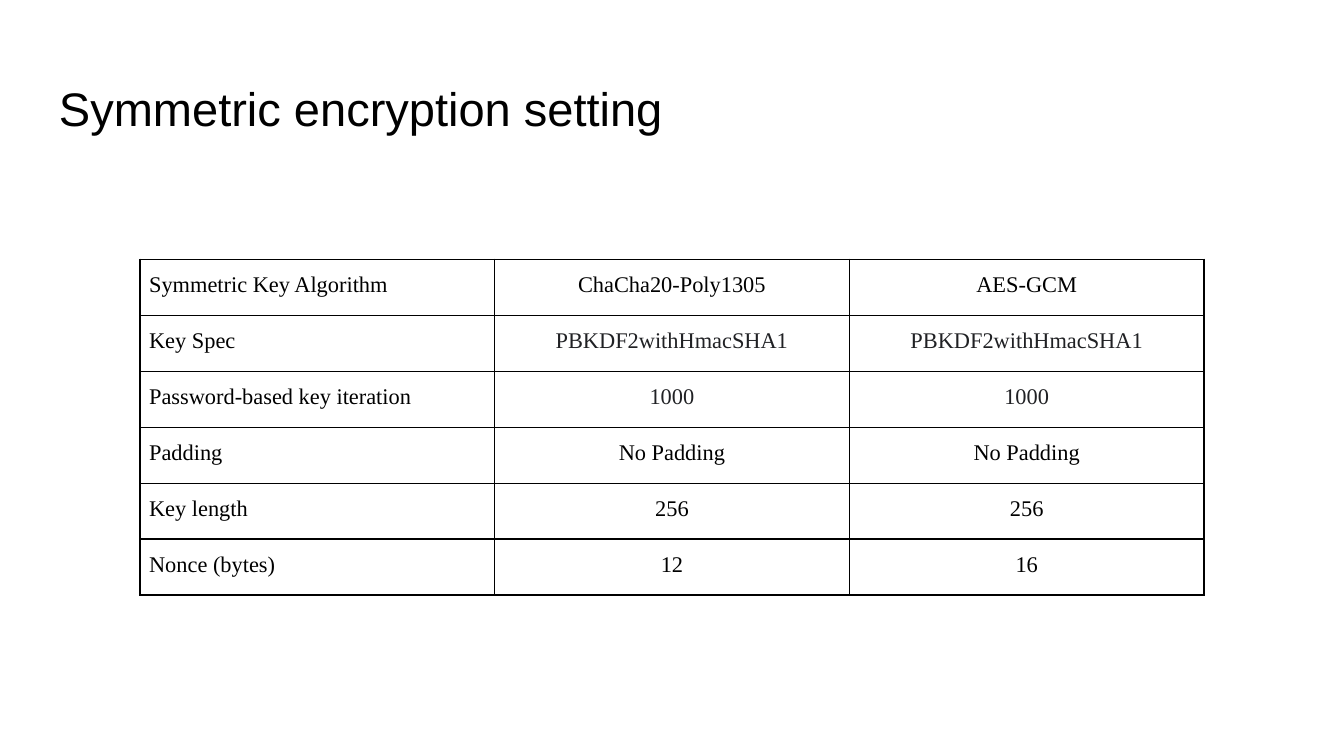
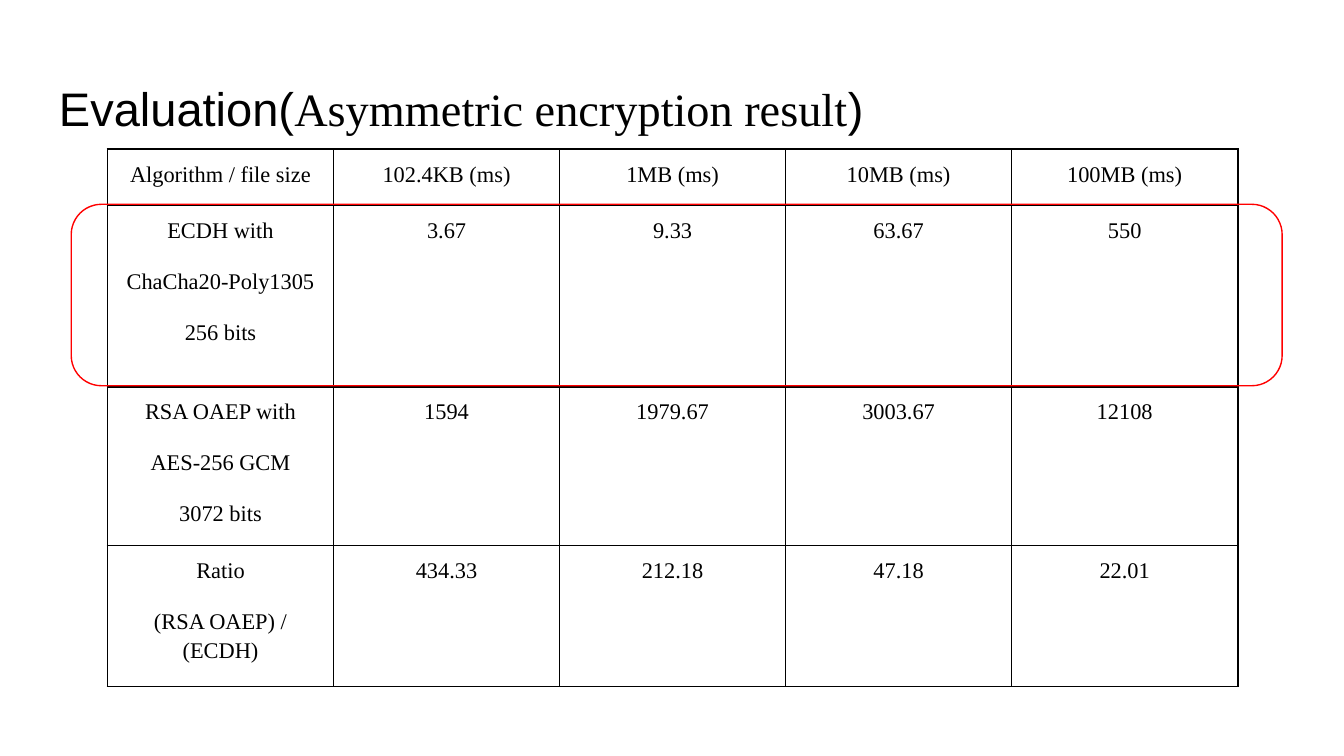
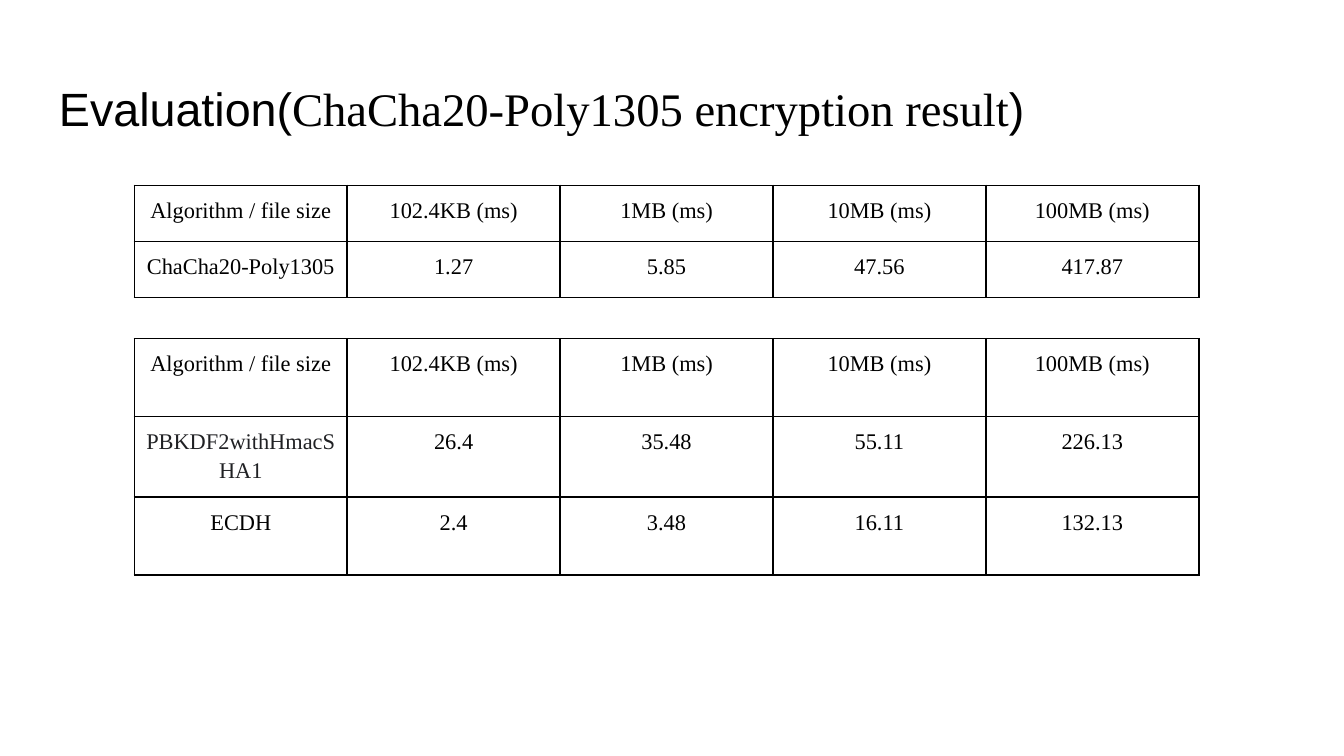
from lxml.etree import SubElement
from pptx import Presentation
from pptx.dml.color import RGBColor
from pptx.enum.shapes import MSO_SHAPE
from pptx.enum.text import MSO_ANCHOR, PP_ALIGN
from pptx.oxml.ns import qn
from pptx.util import Inches, Pt

BLACK, GRAY, RED = "000000", "202124", "FF0000"
SANS, SERIF = "Arial", "Times New Roman"
CELL_INSET = Inches(5 / 72)
HEADER = ["Algorithm / file size", "102.4KB (ms)", "1MB (ms)", "10MB (ms)", "100MB (ms)"]
GRAY_VALUES = {"PBKDF2withHmacSHA1", "1000"}


def rgb(color):
    return RGBColor.from_string(color)


class Deck:
    """Holds the shared style and the current slide."""

    def __init__(self):
        self.prs = Presentation()
        # 16:9 page
        self.prs.slide_width, self.prs.slide_height = Inches(10), Inches(10 * 9 / 16)
        self.slide = None

    def new_slide(self):
        self.slide = self.prs.slides.add_slide(self.prs.slide_layouts[6])

    def run(self, p, text, size, font, color=BLACK):
        r = p.add_run()
        r.text = text
        r.font.size, r.font.name = Pt(size), font
        r.font.color.rgb = rgb(color)

    def title(self, *runs):
        box = self.slide.shapes.add_textbox(Inches(0.34), Inches(0.49), Inches(9.32), Inches(0.63))
        tf = box.text_frame
        tf.word_wrap = True
        tf.vertical_anchor = MSO_ANCHOR.MIDDLE
        tf.margin_left = tf.margin_right = tf.margin_top = tf.margin_bottom = Inches(0.1)
        for text, size, font in runs:
            self.run(tf.paragraphs[0], text, size, font)

    def borders(self, cell):
        tc_pr = cell._tc.get_or_add_tcPr()
        for side in ("a:lnL", "a:lnR", "a:lnT", "a:lnB"):
            ln = SubElement(tc_pr, qn(side), w=str(Pt(1)))
            SubElement(SubElement(ln, qn("a:solidFill")), qn("a:srgbClr"), val=BLACK)

    def cell(self, cell, text, align):
        cell.margin_left = cell.margin_right = CELL_INSET
        cell.margin_top = cell.margin_bottom = CELL_INSET
        self.borders(cell)
        cell.fill.background()
        tf = cell.text_frame
        for i, line in enumerate(text.split("\n")):
            p = tf.add_paragraph() if i else tf.paragraphs[0]
            p.alignment, p.line_spacing = align, 1.15
            if i:
                p.space_before = Pt(12)
            self.run(p, line, 12, SERIF, GRAY if line in GRAY_VALUES else BLACK)
        p.space_after = Pt(12)

    def table(self, left, top, width, heights, rows, first_align=PP_ALIGN.CENTER):
        n_cols = len(rows[0])
        frame = self.slide.shapes.add_table(len(rows), n_cols, Inches(left), Inches(top),
                                            Inches(width), Inches(sum(heights)))
        table = frame.table
        for col in table.columns:
            col.width = Inches(width / n_cols)
        for i, (height, row) in enumerate(zip(heights, rows)):
            table.rows[i].height = Inches(height)
            for j, text in enumerate(row):
                self.cell(table.cell(i, j), text, PP_ALIGN.CENTER if j else first_align)

    def highlight(self, left, top, width, height):
        sp = self.slide.shapes.add_shape(MSO_SHAPE.FLOWCHART_ALTERNATE_PROCESS, Inches(left),
                                         Inches(top), Inches(width), Inches(height))
        sp.shadow.inherit = False
        sp.fill.background()
        sp.line.color.rgb = rgb(RED)
        sp.line.width = Pt(0.75)


def main():
    deck = Deck()

    # Symmetric settings
    deck.new_slide()
    deck.title(("Symmetric encryption setting", 25.2, SANS))
    deck.table(1.04, 1.93, 7.92, [2.5 / 6] * 6, [
        ["Symmetric Key Algorithm", "ChaCha20-Poly1305", "AES-GCM"],
        ["Key Spec", "PBKDF2withHmacSHA1", "PBKDF2withHmacSHA1"],
        ["Password-based key iteration", "1000", "1000"],
        ["Padding", "No Padding", "No Padding"],
        ["Key length", "256", "256"],
        ["Nonce (bytes)", "12", "16"],
    ], first_align=PP_ALIGN.LEFT)

    # Asymmetric results, with the ECDH row marked
    deck.new_slide()
    deck.title(("Evaluation(", 25.2, SANS), ("Asymmetric encryption result", 24.8, SERIF),
               (")", 25.2, SANS))
    deck.table(0.8, 1.11, 8.41, [0.42, 1.35, 1.18, 1.05], [
        HEADER,
        ["ECDH with\nChaCha20-Poly1305\n256 bits", "3.67", "9.33", "63.67", "550"],
        ["RSA OAEP with\nAES-256 GCM\n3072 bits", "1594", "1979.67", "3003.67", "12108"],
        ["Ratio\n(RSA OAEP) / (ECDH)", "434.33", "212.18", "47.18", "22.01"],
    ])
    deck.highlight(0.53, 1.52, 9.01, 1.35)

    # ChaCha20-Poly1305 results
    deck.new_slide()
    deck.title(("Evaluation(", 25, SANS), ("ChaCha20-Poly1305 encryption result", 25, SERIF),
               (")", 25, SANS))
    deck.table(1, 1.38, 7.92, [2.5 / 6] * 2, [
        HEADER,
        ["ChaCha20-Poly1305", "1.27", "5.85", "47.56", "417.87"],
    ])
    deck.table(1, 2.52, 7.92, [0.58] * 3, [
        HEADER,
        ["PBKDF2withHmacSHA1", "26.4", "35.48", "55.11", "226.13"],
        ["ECDH", "2.4", "3.48", "16.11", "132.13"],
    ])

    deck.prs.save("out.pptx")


if __name__ == "__main__":
    main()
